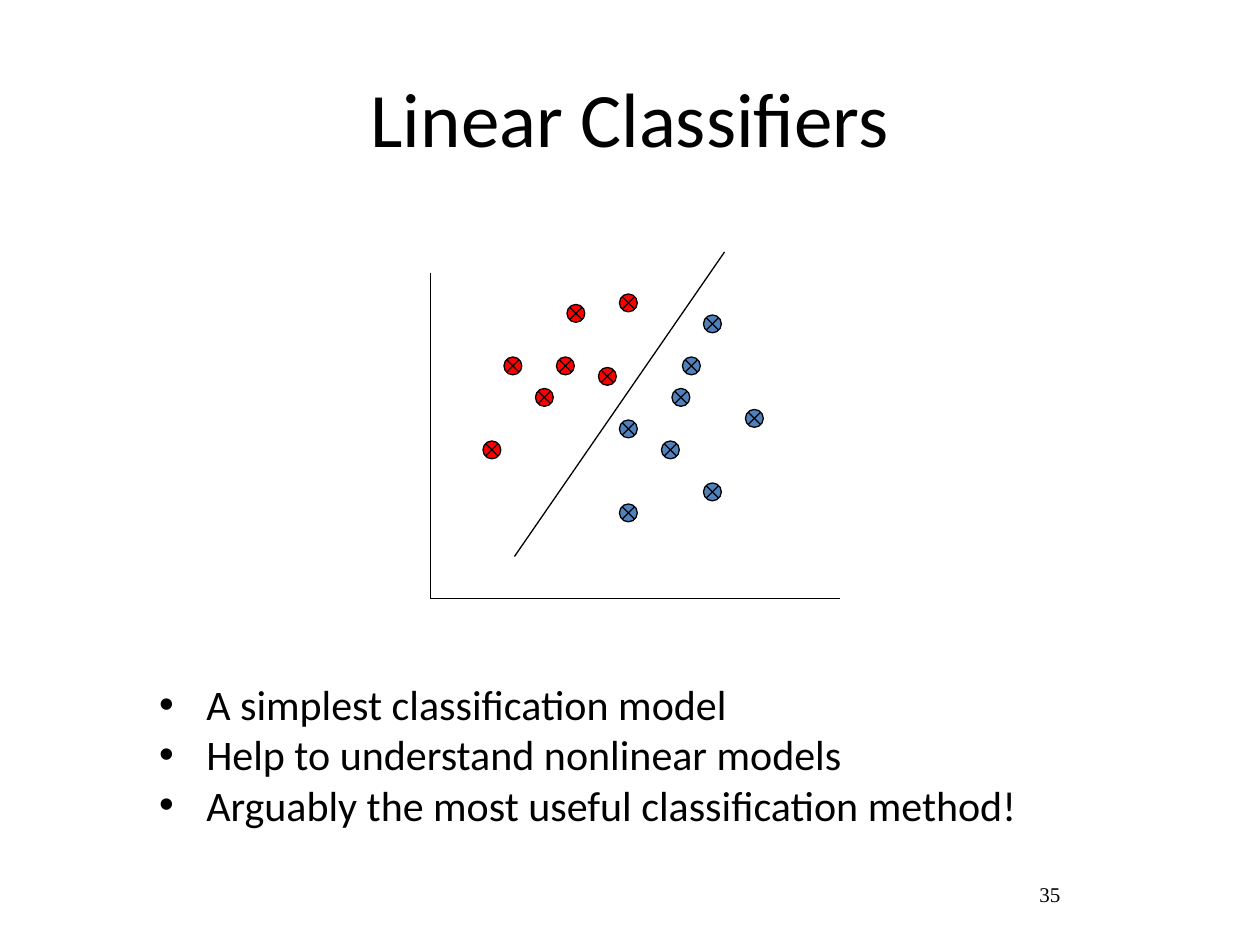
from dataclasses import dataclass

from lxml.etree import SubElement
from pptx import Presentation
from pptx.dml.color import RGBColor
from pptx.enum.shapes import MSO_CONNECTOR as Connector, MSO_SHAPE as Shape
from pptx.enum.text import MSO_ANCHOR as Anchor, PP_ALIGN as Align
from pptx.oxml.ns import qn
from pptx.util import Cm, Pt


@dataclass(frozen=True)
class Theme:
    ink: RGBColor = RGBColor(0, 0, 0)
    red: RGBColor = RGBColor(255, 0, 0)
    blue: RGBColor = RGBColor(79, 129, 189)
    body_font: str = "Calibri"
    number_font: str = "Times New Roman"
    title_size: Pt = Pt(44)
    body_size: Pt = Pt(24)
    number_size: Pt = Pt(12)
    line_width: Pt = Pt(0.75)


THEME = Theme()
GRID = Cm(2.54) // 12
MARKER_SIZE = Cm(0.36)
BULLET_INDENT = Cm(0.95)

AXES_AND_BOUNDARY = [
    ((41, 26), (41, 57)),
    ((41, 57), (80, 57)),
    ((49, 53), (69, 24)),
]
BLUE_POINTS = [(67, 30), (59, 40), (64, 37), (65, 34),
               (59, 48), (63, 42), (71, 39), (67, 46)]
RED_POINTS = [(51, 37), (54, 29), (46, 42), (57, 35),
              (48, 34), (59, 28), (53, 34)]
REMARKS = [
    "A simplest classification model",
    "Help to understand nonlinear models",
    "Arguably the most useful classification method!",
]


def apply_format(target, values):
    for name, value in values.items():
        setattr(target, name, value)


def style_line(line):
    line.color.rgb = THEME.ink
    line.width = THEME.line_width


def add_bullet(para):
    properties = para._p.get_or_add_pPr()
    properties.set("marL", str(BULLET_INDENT))
    properties.set("indent", str(-BULLET_INDENT))
    SubElement(properties, qn("a:buFont"), typeface="Arial")
    SubElement(properties, qn("a:buChar"), char="•")


def add_text(page, place, lines, font, size, align=Align.LEFT,
             anchor=Anchor.TOP, bulleted=False):
    frame = page.shapes.add_textbox(*place).text_frame
    apply_format(frame, {"word_wrap": True, "vertical_anchor": anchor})
    for index, line in enumerate(lines):
        para = frame.add_paragraph() if index else frame.paragraphs[0]
        para.alignment = align
        if bulleted:
            add_bullet(para)
        span = para.add_run()
        span.text = line
        apply_format(span.font, {"name": font, "size": size})
        span.font.color.rgb = THEME.ink


def add_line(page, start, end):
    ends = [GRID * step for step in (*start, *end)]
    line = page.shapes.add_connector(Connector.STRAIGHT, *ends)
    style_line(line.line)
    SubElement(line._element.spPr, qn("a:effectLst"))


def add_marker(page, column, row, color):
    marker = page.shapes.add_shape(
        Shape.FLOWCHART_SUMMING_JUNCTION,
        GRID * column, GRID * row, MARKER_SIZE, MARKER_SIZE)
    marker.shadow.inherit = False
    marker.fill.solid()
    marker.fill.fore_color.rgb = color
    style_line(marker.line)


def main():
    deck = Presentation()
    apply_format(deck, {"slide_width": Cm(25.4), "slide_height": Cm(19.05)})
    page = deck.slides.add_slide(deck.slide_layouts[6])

    add_text(page, (Cm(18.2), Cm(17.36), Cm(5.93), Cm(1.32)), ["35"],
             THEME.number_font, THEME.number_size, Align.CENTER, Anchor.MIDDLE)
    add_text(page, (Cm(1.27), Cm(0.76), Cm(22.86), Cm(3.18)),
             ["Linear Classifiers"], THEME.body_font, THEME.title_size,
             Align.CENTER, Anchor.MIDDLE)
    for start, end in AXES_AND_BOUNDARY:
        add_line(page, start, end)
    for points, color in ((BLUE_POINTS, THEME.blue), (RED_POINTS, THEME.red)):
        for column, row in points:
            add_marker(page, column, row, color)
    add_text(page, (Cm(2.96), Cm(13.55), Cm(19.69), Cm(3.33)), REMARKS,
             THEME.body_font, THEME.body_size, bulleted=True)

    deck.save("out.pptx")


if __name__ == "__main__":
    main()
